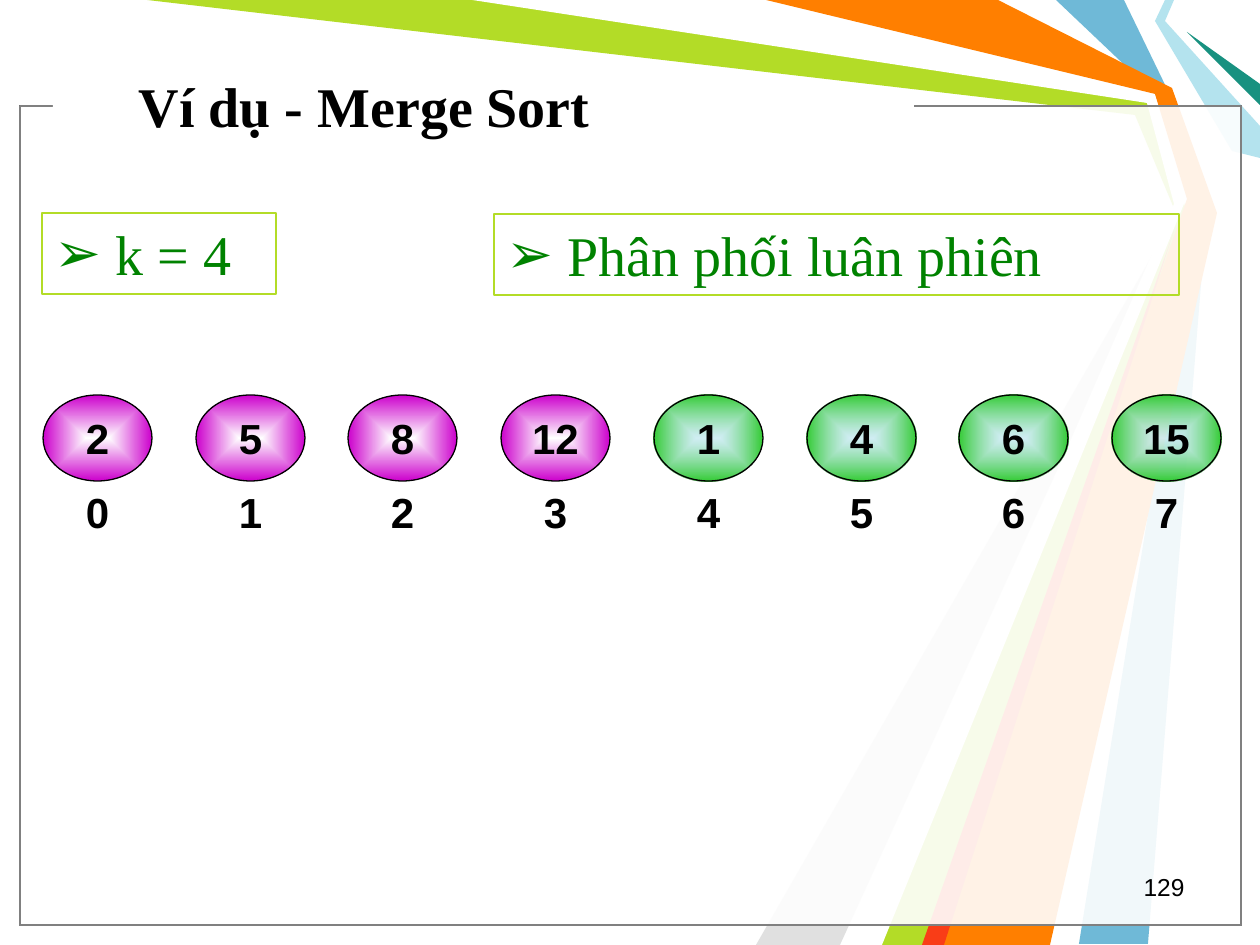
from typing import NamedTuple, Optional

import pptx
import pptx.dml.color
import pptx.enum.shapes
import pptx.enum.text
import pptx.oxml
import pptx.oxml.ns
import pptx.util

PX = 914400 / 126  # EMU per px
WIDTH, HEIGHT = 1260, 945
SHAPE = pptx.enum.shapes.MSO_SHAPE
ANCHOR = pptx.enum.text.MSO_ANCHOR
ALIGN = pptx.enum.text.PP_ALIGN
qn = pptx.oxml.ns.qn
NS = pptx.oxml.ns.nsdecls("a")


class Box(NamedTuple):
    x: int
    y: int
    w: int
    h: int


class Ribbon(NamedTuple):
    color: str
    points: list[tuple[int, int]]


class Glow(NamedTuple):
    center: str
    edge: str
    alpha: int


class Key(NamedTuple):
    value: str
    glow: Glow


class Note(NamedTuple):
    text: str
    box: Box


PURPLE = Glow("FFFFFF", "CC00CC", 100)
GREEN = Glow("B4E3EE", "33CC33", 60)
KEYS = [Key(v, PURPLE) for v in ("2", "5", "8", "12")]
KEYS += [Key(v, GREEN) for v in ("1", "4", "6", "15")]

NOTES = [
    Note("k = 4", Box(42, 213, 234, 81)),
    Note("Phân phối luân phiên", Box(494, 214, 685, 81)),
]

RIBBONS = [
    Ribbon("6FB9D7", [(1056, 0), (1124, 0), (1171, 97), (1207, 210),
                      (1148, 944), (1079, 944), (1197, 210), (1155, 94)]),
    Ribbon("B3DC27", [(147, 0), (483, 0), (1152, 98), (1187, 213),
                      (935, 945), (872, 945), (1178, 218), (1135, 115)]),
    Ribbon("E0E0E0", [(840, 945), (1168, 228), (756, 945)]),
    Ribbon("FFFFFF", [(472, 0), (1147, 103), (1174, 204), (850, 945),
                      (882, 945), (1186, 199), (1155, 94), (756, 0)]),
    Ribbon("B4E3EE", [(1165, 0), (1155, 21), (1232, 151), (1260, 158),
                      (1260, 126), (1165, 21), (1174, 0)]),
    Ribbon("189180", [(1260, 105), (1187, 32), (1260, 84)]),
    Ribbon("FF7F00", [(766, 0), (998, 0), (1172, 88), (1217, 213),
                      (1050, 945), (924, 945), (1187, 199), (1155, 94)]),
    Ribbon("F93D17", [(922, 945), (1174, 231), (944, 945)]),
]


def emu(px: int) -> int:
    return round(px * PX)


def rgb(color: str):
    return pptx.dml.color.RGBColor.from_string(color)


def place(sp, box: Box) -> None:
    sp.left, sp.top, sp.width, sp.height = map(emu, box)


def set_alpha(clr, percent: int) -> None:
    clr.append(pptx.oxml.parse_xml(f'<a:alpha {NS} val="{percent * 1000}"/>'))


def style(sp, fill: Optional[str] = None, line: Optional[str] = None,
          alpha: int = 100) -> None:
    if fill:
        sp.fill.solid()
        sp.fill.fore_color.rgb = rgb(fill)
        if alpha < 100:
            set_alpha(sp._element.spPr.find(".//" + qn("a:srgbClr")), alpha)
    else:
        sp.fill.background()
    if line:
        sp.line.color.rgb = rgb(line)
        sp.line.width = pptx.util.Pt(0.75)
    else:
        sp.line.fill.background()


def write(sp, text: str, size: int = 24, font: str = "Arial", color: str = "000000",
          bold: bool = False, align=ALIGN.CENTER, anchor=ANCHOR.MIDDLE,
          wrap: bool = True, bullet: str = "") -> None:
    tf = sp.text_frame
    tf.auto_size = pptx.enum.text.MSO_AUTO_SIZE.NONE
    tf.word_wrap = wrap
    tf.vertical_anchor = anchor
    p = tf.paragraphs[0]
    p.alignment = align
    p.space_before = pptx.util.Pt(0)
    if bullet:
        pPr = p._p.get_or_add_pPr()
        pPr.set("marL", str(emu(61)))
        pPr.set("indent", str(-emu(61)))
        pPr.append(pptx.oxml.parse_xml(f'<a:buChar {NS} char="{bullet}"/>'))
    r = p.add_run()
    r.text = text
    r.font.size = pptx.util.Pt(size)
    r.font.name = font
    r.font.bold = bold
    r.font.color.rgb = rgb(color)


def add_shape(s, kind, box: Box, **look):
    sp = s.shapes.add_shape(kind, *map(emu, box))
    sp.shadow.inherit = False
    style(sp, **look)
    return sp


def add_ribbon(s, ribbon: Ribbon) -> None:
    builder = s.shapes.build_freeform(*ribbon.points[0], scale=PX)
    builder.add_line_segments(ribbon.points[1:], close=True)
    sp = builder.convert_to_shape()
    sp.shadow.inherit = False
    style(sp, fill=ribbon.color)


def add_glow(sp, glow: Glow) -> None:
    """Fill a shape with a gradient that runs outwards from its centre."""
    sp.fill.gradient()
    for stop, color, position in zip(sp.fill.gradient_stops, (glow.center, glow.edge), (0, 1)):
        stop.color.rgb = rgb(color)
        stop.position = position
    grad = sp._element.spPr.find(qn("a:gradFill"))
    if glow.alpha < 100:
        set_alpha(grad.find(".//" + qn("a:srgbClr")), glow.alpha)
    grad.replace(grad.find(qn("a:lin")), pptx.oxml.parse_xml(
        f'<a:path {NS} path="shape">'
        '<a:fillToRect l="50000" t="50000" r="50000" b="50000"/></a:path>'))


def add_key(s, index: int, key: Key) -> None:
    x = 43 + round(index * 1069 / (len(KEYS) - 1))
    sp = add_shape(s, SHAPE.OVAL, Box(x, 395, 109, 86), line="000000")
    add_glow(sp, key.glow)
    write(sp, key.value, bold=True, wrap=False)
    label = add_shape(s, SHAPE.OVAL, Box(x, 470, 109, 83))
    write(label, str(index), bold=True, wrap=False)


def main() -> None:
    prs = pptx.Presentation()
    prs.slide_width, prs.slide_height = emu(WIDTH), emu(HEIGHT)
    s = prs.slides.add_slide(prs.slide_layouts[3])
    title, *bodies = list(s.placeholders)

    # Ribbons, then the translucent panel with a gap in its top edge
    for ribbon in RIBBONS:
        add_ribbon(s, ribbon)
    for edge in ("000000", "808080"):
        add_shape(s, SHAPE.RECTANGLE, Box(20, 106, 1221, 819),
                  fill="FFFFFF", line=edge, alpha=69)
    add_shape(s, SHAPE.RECTANGLE, Box(53, 93, 861, 21), fill="FFFFFF")

    # Placeholders go in front of the background
    for sp in (title, *bodies):
        s.shapes._spTree.append(sp._element)
    place(title, Box(126, 53, 868, 105))
    write(title, "Ví dụ - Merge Sort", size=32, font="Times New Roman",
          bold=True, align=ALIGN.LEFT)

    # Page number
    number = s.shapes.add_textbox(*map(emu, Box(903, 866, 294, 42)))
    write(number, "129", size=14, align=ALIGN.RIGHT, anchor=ANCHOR.TOP)

    # Array elements with their indexes
    for index, key in enumerate(KEYS):
        add_key(s, index, key)

    # Framed notes
    for body, note in zip(bodies, NOTES):
        place(body, note.box)
        style(body, line="B3DC27")
        write(body, note.text, size=32, font="Times New Roman", color="008200",
              align=ALIGN.LEFT, bullet="➢")

    prs.save("out.pptx")


if __name__ == "__main__":
    main()
